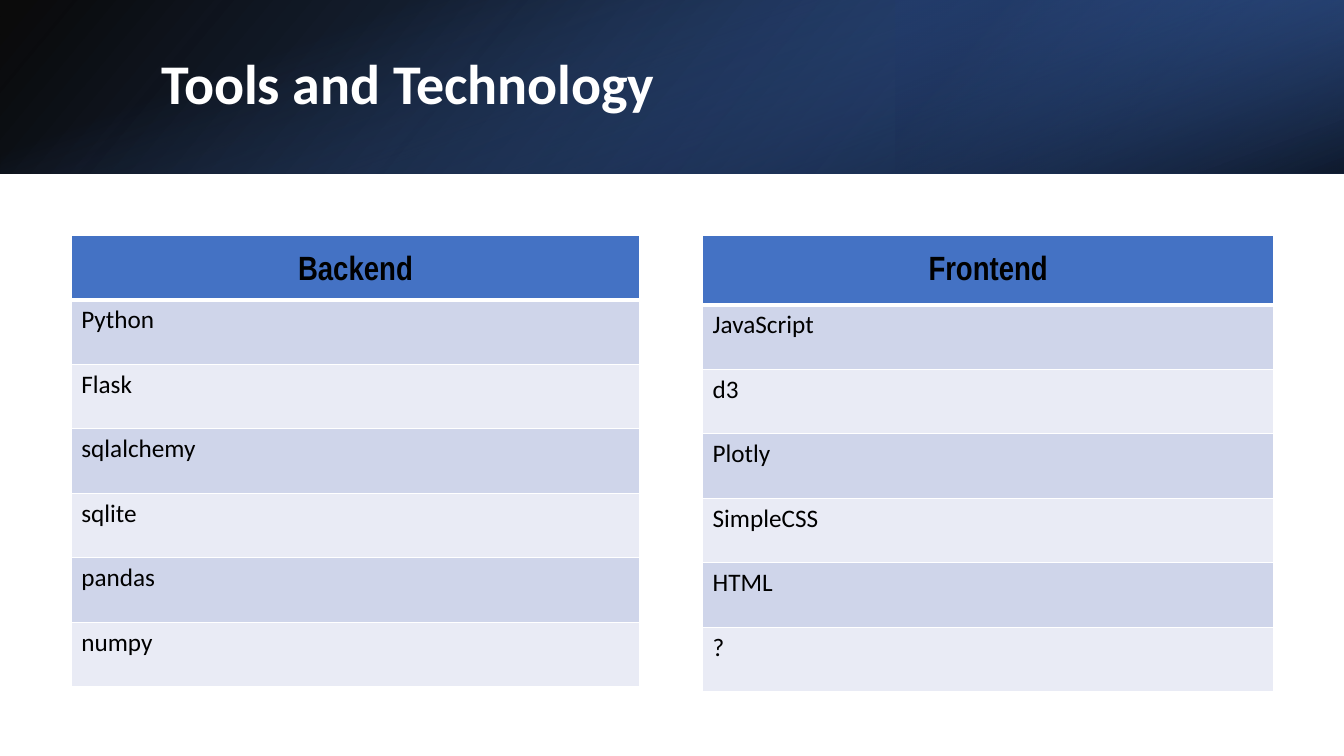
from lxml import etree
from pptx import Presentation
from pptx.dml.color import RGBColor
from pptx.enum.shapes import MSO_SHAPE
from pptx.enum.text import MSO_ANCHOR, PP_ALIGN
from pptx.oxml.ns import qn
from pptx.util import Pt

RECTANGLE = MSO_SHAPE.RECTANGLE
MIDDLE = MSO_ANCHOR.MIDDLE
LEFT, CENTER = PP_ALIGN.LEFT, PP_ALIGN.CENTER
TITLE_ONLY = 5

PAGE_WIDTH, PAGE_HEIGHT, BAND_HEIGHT = 960, 540, 123.84
ROW_HEIGHT = 46.08
WHITE, BLACK, HEADER_BLUE = "FFFFFF", "000000", "4472C4"
ROW_FILLS = ("CFD5EA", "E9EBF5")

TITLE_FONT = {"name": "Calibri", "size": Pt(40), "bold": True}
HEADER_FONT = {"name": "Arial Narrow", "size": Pt(24), "bold": True}
BODY_FONT = {"name": "Calibri", "size": Pt(18), "bold": False}

BACKEND = ["Python\u00a0".strip(), "Flask", "sqlalchemy", "sqlite", "pandas", "numpy"]
FRONTEND = ["JavaScript", "d3", "Plotly", "SimpleCSS", "HTML", "?"]


def color(hex_code):
    return RGBColor.from_string(hex_code)


def write(frame, text, font, hex_code, align=LEFT, spacing=None):
    para = frame.paragraphs[0]
    para.alignment = align
    para.line_spacing = spacing
    span = para.add_run()
    span.text = text
    for name, value in font.items():
        setattr(span.font, name, value)
    span.font.color.rgb = color(hex_code)


def add_gradient(page, box, stops, angle, rotation=0, flip=False):
    """Stops are (position, colour, opacity) in percent; angle runs clockwise."""
    shape = page.shapes.add_shape(RECTANGLE, *map(Pt, box))
    shape.shadow.inherit = False
    shape.line.fill.background()
    shape.rotation = rotation
    if flip:
        shape.element.spPr.find(qn("a:xfrm")).set("flipH", "1")
    shape.fill.gradient()
    shape.fill.gradient_angle = 360 - angle
    for stop, (position, hex_code, _) in zip(shape.fill.gradient_stops, stops):
        stop.position = position / 100
        stop.color.rgb = color(hex_code)
    tints = shape.element.spPr.iter(qn("a:srgbClr"))
    for tint, (_, _, opacity) in zip(list(tints), stops):
        etree.SubElement(tint, qn("a:alpha")).set("val", str(opacity * 1000))


def add_band(page, box):
    left, top, width, height = box
    add_gradient(page, box, [(0, BLACK, 96), (100, "2F5597", 100)], 140, flip=True)
    third = width / 3
    add_gradient(page, (left + 2 * third, top, third, height),
                 [(19, "203864", 68), (100, HEADER_BLUE, 79)], 320, 180, True)
    shift = (width - height) / 2
    add_gradient(page, (left + shift, top - shift, height, width),
                 [(23, HEADER_BLUE, 0), (99, BLACK, 74)], 340, 90)


def add_title(page, box, text):
    title = page.shapes.title
    title.left, title.top, title.width, title.height = map(Pt, box)
    title.text_frame.vertical_anchor = MIDDLE
    write(title.text_frame, text, TITLE_FONT, WHITE, spacing=0.9)
    title.element.getparent().append(title.element)  # in front of the band


def set_borders(cell, bottom):
    properties = cell._tc.get_or_add_tcPr()
    widths = {"a:lnL": 1, "a:lnR": 1, "a:lnT": 1, "a:lnB": bottom}
    for index, (side, width) in enumerate(widths.items()):
        line = etree.Element(qn(side), w=str(Pt(width)))
        fill = etree.SubElement(line, qn("a:solidFill"))
        etree.SubElement(fill, qn("a:srgbClr"), val=WHITE)
        properties.insert(index, line)


def add_tool_table(page, box, heading, tools, header_height):
    table = page.shapes.add_table(len(tools) + 1, 1, *map(Pt, box)).table
    for index, text in enumerate([heading, *tools]):
        is_header = index == 0
        table.rows[index].height = Pt(header_height if is_header else ROW_HEIGHT)
        cell = table.cell(index, 0)
        cell.fill.solid()
        cell.fill.fore_color.rgb = color(
            HEADER_BLUE if is_header else ROW_FILLS[(index - 1) % 2])
        if is_header:
            write(cell.text_frame, text, HEADER_FONT, BLACK, CENTER, 1.5)
        else:
            write(cell.text_frame, text, BODY_FONT, BLACK)
        if index == 1:
            # The thick rule under the heading is shared by both cells.
            set_borders(cell, 1)
            cell._tc.tcPr.find(qn("a:lnT")).set("w", str(Pt(3)))
        else:
            set_borders(cell, 3 if is_header else 1)


def main():
    deck = Presentation()
    deck.slide_width, deck.slide_height = Pt(PAGE_WIDTH), Pt(PAGE_HEIGHT)
    page = deck.slides.add_slide(deck.slide_layouts[TITLE_ONLY])
    add_band(page, (0, 0, PAGE_WIDTH, BAND_HEIGHT))
    add_title(page, (108, 27.36, 790.56, 69.12), "Tools and Technology")
    add_tool_table(page, (50.9, 168, 406, 322.56), "Backend", BACKEND, ROW_HEIGHT)
    add_tool_table(page, (501.84, 168, 408, 326.16), "Frontend", FRONTEND, 49.68)
    deck.save("out.pptx")


if __name__ == "__main__":
    main()
